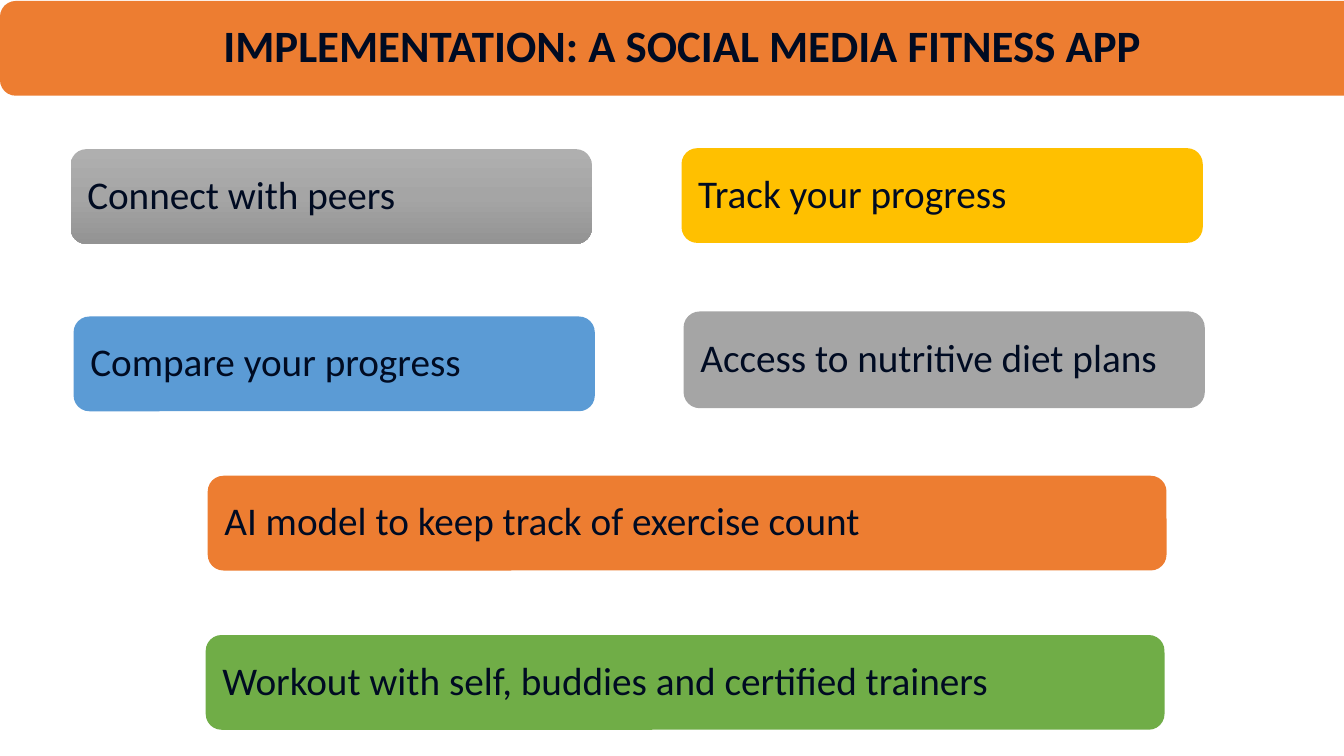
import copy
import pptx
import pptx.util
import pptx.dml.color
import pptx.enum.shapes
import pptx.enum.text

Inches = pptx.util.Inches
Color = pptx.dml.color.RGBColor.from_string
theme = {
    "font": "Calibri", "ink": "000B22", "head": 32, "body": 28,
    "orange": "ED7D31", "gold": "FFC000", "blue": "5B9BD5",
    "green": "70AD47", "gray": "A5A5A5",
    "shade": ["AFAFAF", "A5A5A5", "939393"],
}

deck = pptx.Presentation()
deck.slide_width = Inches(13.33)
deck.slide_height = Inches(7.5)
slide = deck.slides.add_slide(deck.slide_layouts[6])


def write(shape, text, size=theme["body"], bold=False, align="LEFT", inset=0.12):
    frame = shape.text_frame
    frame.word_wrap = True
    frame.vertical_anchor = pptx.enum.text.MSO_ANCHOR.MIDDLE
    frame.margin_left = frame.margin_right = Inches(inset)
    frame.margin_top = frame.margin_bottom = Inches(inset)
    line = frame.paragraphs[0]
    line.alignment = pptx.enum.text.PP_ALIGN[align]
    line.line_spacing = 0.9
    run = line.add_run()
    run.text = text
    run.font.name = theme["font"]
    run.font.size = pptx.util.Pt(size)
    run.font.bold = bold
    run.font.color.rgb = Color(theme["ink"])


def add_card(left, top, width, height, fill):
    card = slide.shapes.add_shape(
        pptx.enum.shapes.MSO_SHAPE.ROUNDED_RECTANGLE,
        Inches(left), Inches(top), Inches(width), Inches(height))
    card.shadow.inherit = False
    card.line.fill.background()
    if fill == "shade":
        card.fill.gradient()
        card.fill.gradient_angle = 270
        first = card._element.xpath(".//a:gs")[0]
        first.addnext(copy.deepcopy(first))
        for spot, (stop, tone) in enumerate(zip(card.fill.gradient_stops, theme[fill])):
            stop.position = spot / 2
            stop.color.rgb = Color(tone)
    else:
        card.fill.solid()
        card.fill.fore_color.rgb = Color(theme[fill])
    return card


banner = add_card(0, 0.01, 13.54, 0.94, "orange")
write(banner, "IMPLEMENTATION: A SOCIAL MEDIA FITNESS APP",
      size=theme["head"], bold=True, align="CENTER", inset=0.13)

half, wide = 5.17, 9.51
cards = [
    ("Connect with peers", 0.7, 1.48, half, 0.94, "shade"),
    ("Track your progress", 6.76, 1.47, half, 0.94, "gold"),
    ("Compare your progress", 0.73, 3.14, half, 0.94, "blue"),
    ("Access to nutritive diet plans", 6.78, 3.09, half, 0.96, "gray"),
    ("AI model to keep track of exercise count", 2.06, 4.72, wide, 0.94, "orange"),
    ("Workout with self, buddies and certified trainers", 2.04, 6.3, wide, 0.94, "green"),
]
for text, left, top, width, height, fill in cards:
    write(add_card(left, top, width, height, fill), text)

deck.save("out.pptx")
